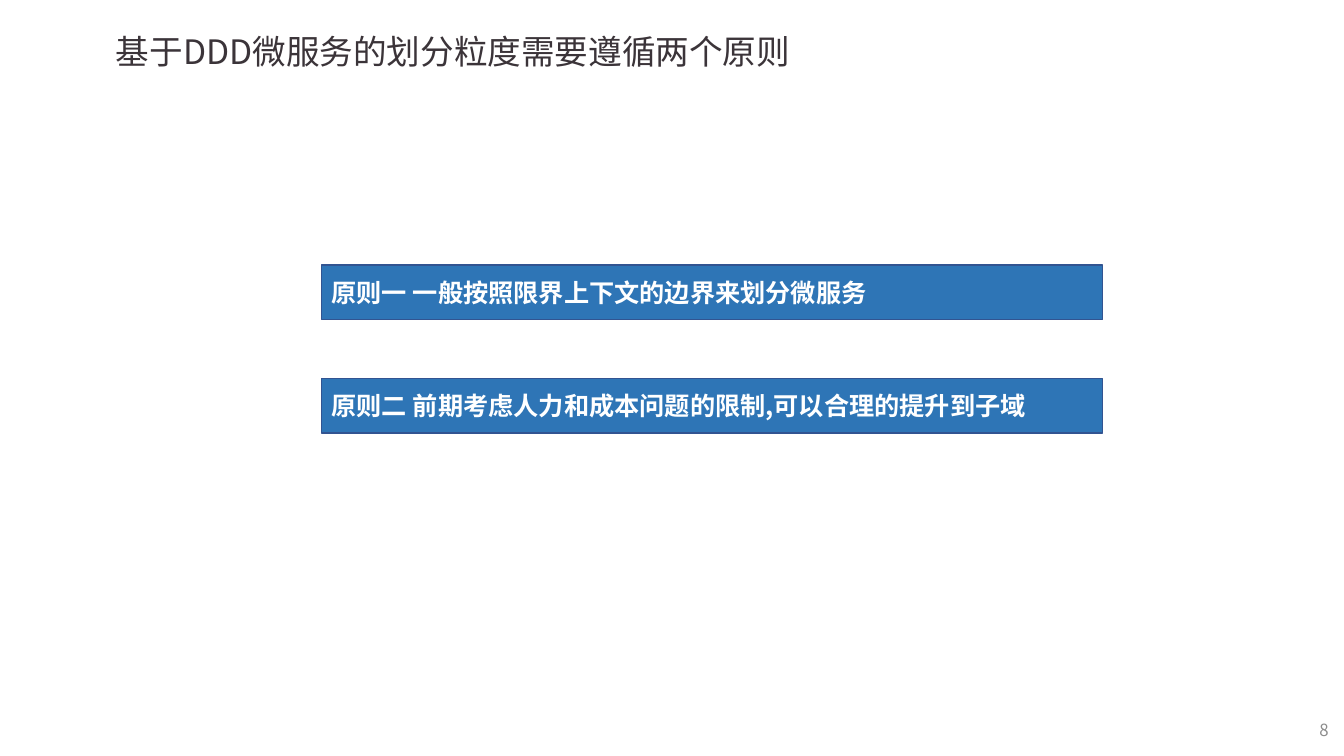
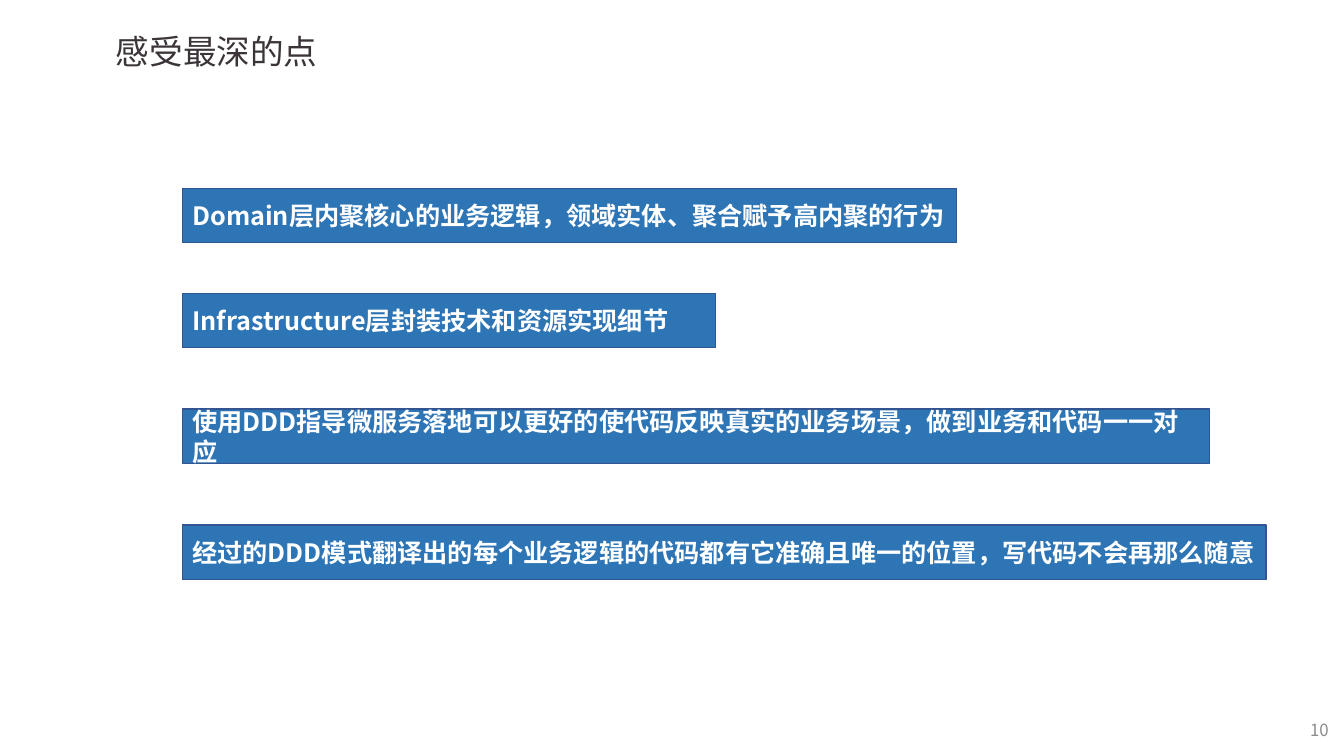
from lxml import etree
from pptx import Presentation
from pptx.dml.color import RGBColor
from pptx.enum import shapes, text
from pptx.oxml import ns
from pptx.util import Pt

FONT = "Noto Sans CJK SC"
INK = RGBColor(0x3B, 0x34, 0x39)
GREY = RGBColor(0x8C, 0x8C, 0x8C)
WHITE = RGBColor(0xFF, 0xFF, 0xFF)
BLUE = RGBColor(0x2E, 0x75, 0xB6)
BORDER = RGBColor(0x32, 0x54, 0x91)

TITLE_ONLY = 5
BAR_HEIGHT = 38.9

PRINCIPLES = [
    "原则一 一般按照限界上下文的边界来划分微服务",
    "原则二 前期考虑人力和成本问题的限制,可以合理的提升到子域",
]
# Top, width and wording of each bar
INSIGHTS = [
    (134.6, 553, "Domain层内聚核心的业务逻辑，领域实体、聚合赋予高内聚的行为"),
    (209.5, 380.9, "Infrastructure层封装技术和资源实现细节"),
    (292.3, 733.7, "使用DDD指导微服务落地可以更好的使代码反映真实的业务场景，做到业务和代码一一对应"),
    (375.1, 774, "经过的DDD模式翻译出的每个业务逻辑的代码都有它准确且唯一的位置，写代码不会再那么随意"),
]


def write(shape, wording, size, color, align=text.PP_ALIGN.LEFT, bold=False):
    """Fill a shape with one vertically centred paragraph."""
    frame = shape.text_frame
    frame.text = wording
    frame.word_wrap = True
    frame.auto_size = text.MSO_AUTO_SIZE.NONE
    frame.vertical_anchor = text.MSO_ANCHOR.MIDDLE
    para = frame.paragraphs[0]
    para.alignment = align
    font = para.font
    font.name, font.size, font.bold = FONT, Pt(size), bold
    font.color.rgb = color
    # East Asian characters take their typeface from a:ea, which follows a:latin
    east_asian = etree.Element(ns.qn("a:ea"), typeface=FONT)
    para._p.pPr.find(ns.qn("a:defRPr")).find(ns.qn("a:latin")).addnext(east_asian)
    return para


def add_page(deck, heading, number):
    page = deck.slides.add_slide(deck.slide_layouts[TITLE_ONLY])
    title = page.shapes.title
    title.left, title.top, title.width, title.height = map(Pt, (75.6, 16.6, 547.2, 43.2))
    write(title, heading, 24, INK).line_spacing = 0.9
    box = page.shapes.add_textbox(Pt(740.2), Pt(506.9), Pt(216), Pt(28.8))
    write(box, str(number), 12, GREY, text.PP_ALIGN.RIGHT)
    return page


def add_bar(page, left, top, width, wording):
    bar = page.shapes.add_shape(
        shapes.MSO_SHAPE.RECTANGLE, Pt(left), Pt(top), Pt(width), Pt(BAR_HEIGHT))
    bar.shadow.inherit = False
    bar.fill.solid()
    bar.fill.fore_color.rgb = BLUE
    bar.line.color.rgb = BORDER
    bar.line.width = Pt(1)
    write(bar, wording, 18, WHITE, bold=True)


def main():
    deck = Presentation()
    deck.slide_width, deck.slide_height = Pt(960), Pt(540)

    page = add_page(deck, "基于DDD微服务的划分粒度需要遵循两个原则", 8)
    for index, wording in enumerate(PRINCIPLES):
        add_bar(page, 229.7, 189.4 + 81 * index, 558, wording)

    page = add_page(deck, "感受最深的点", 10)
    for top, width, wording in INSIGHTS:
        add_bar(page, 130.3, top, width, wording)

    deck.save("out.pptx")


if __name__ == "__main__":
    main()
